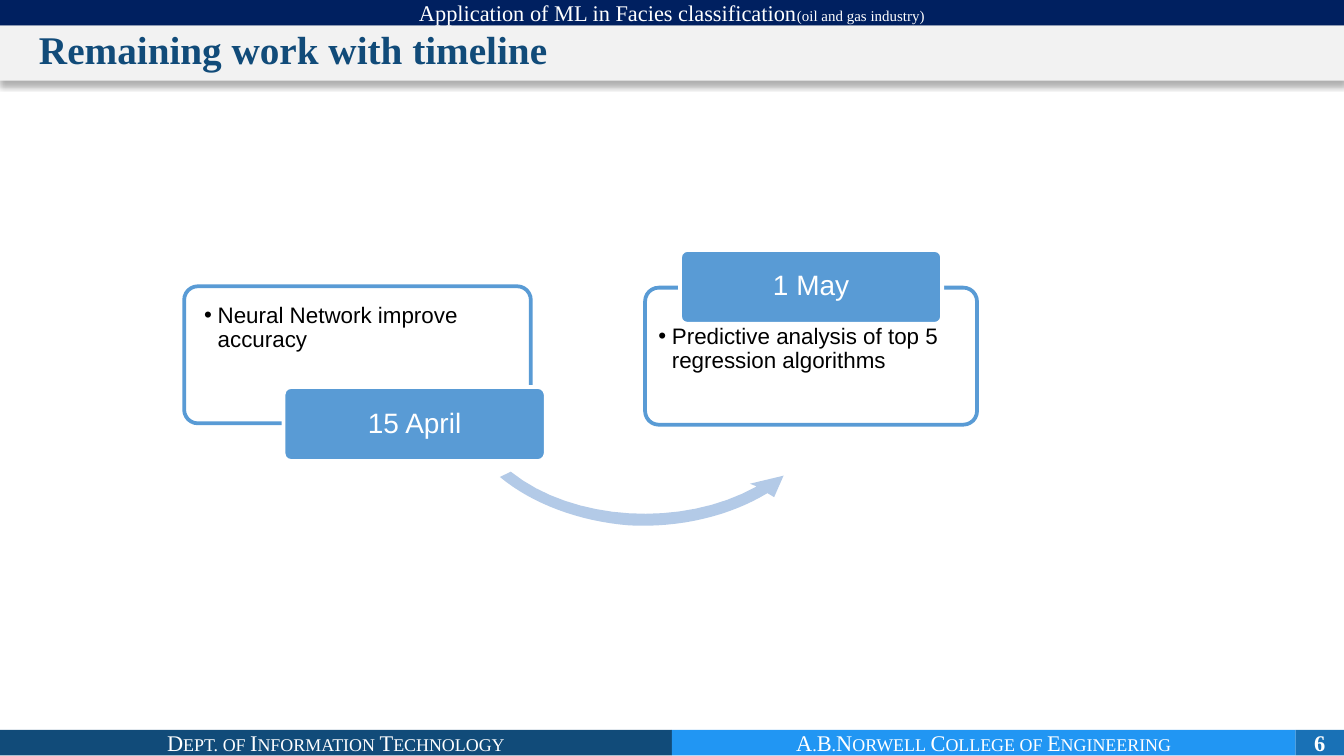
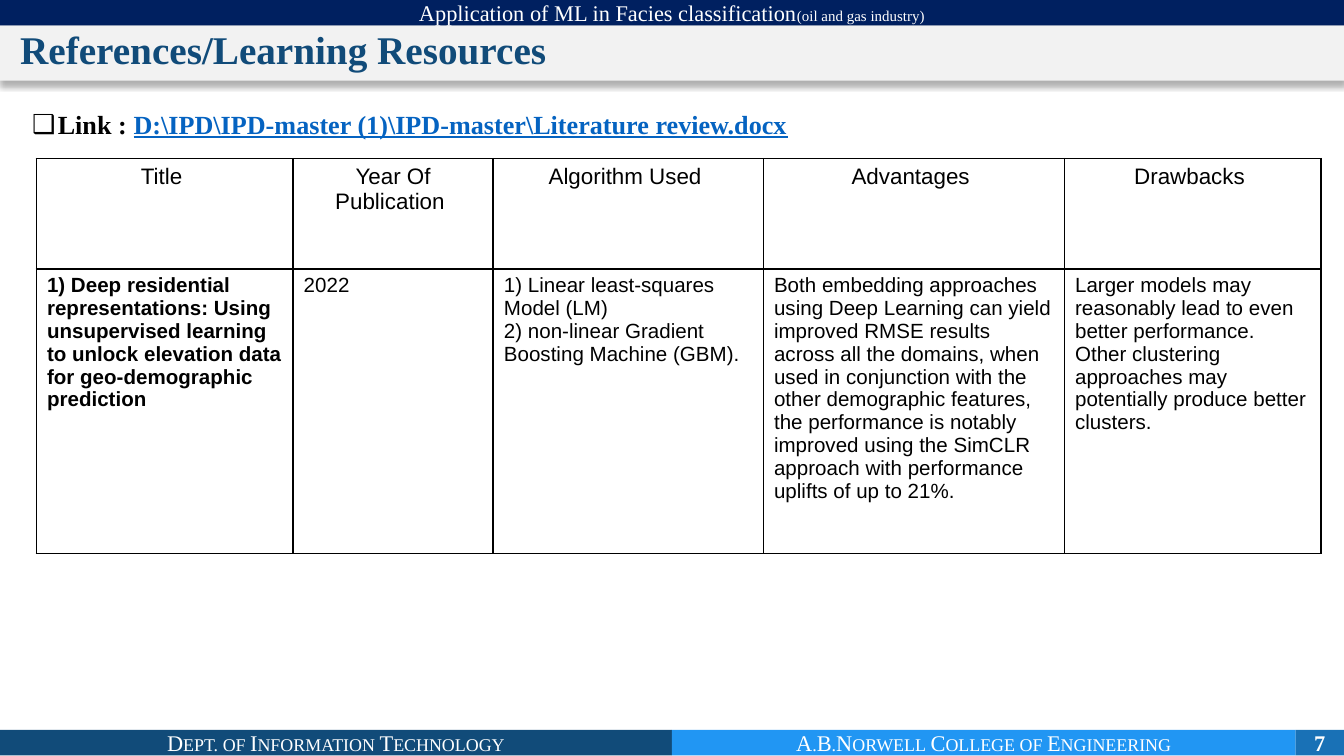
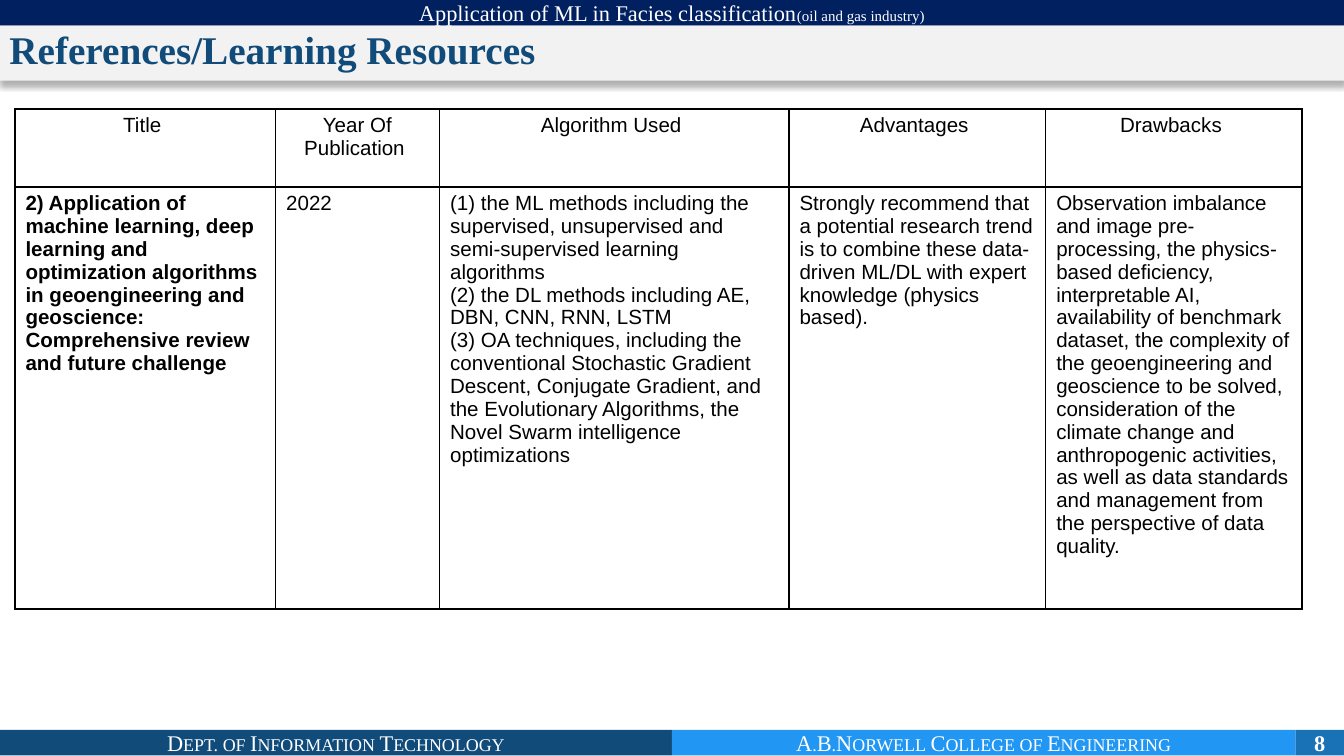
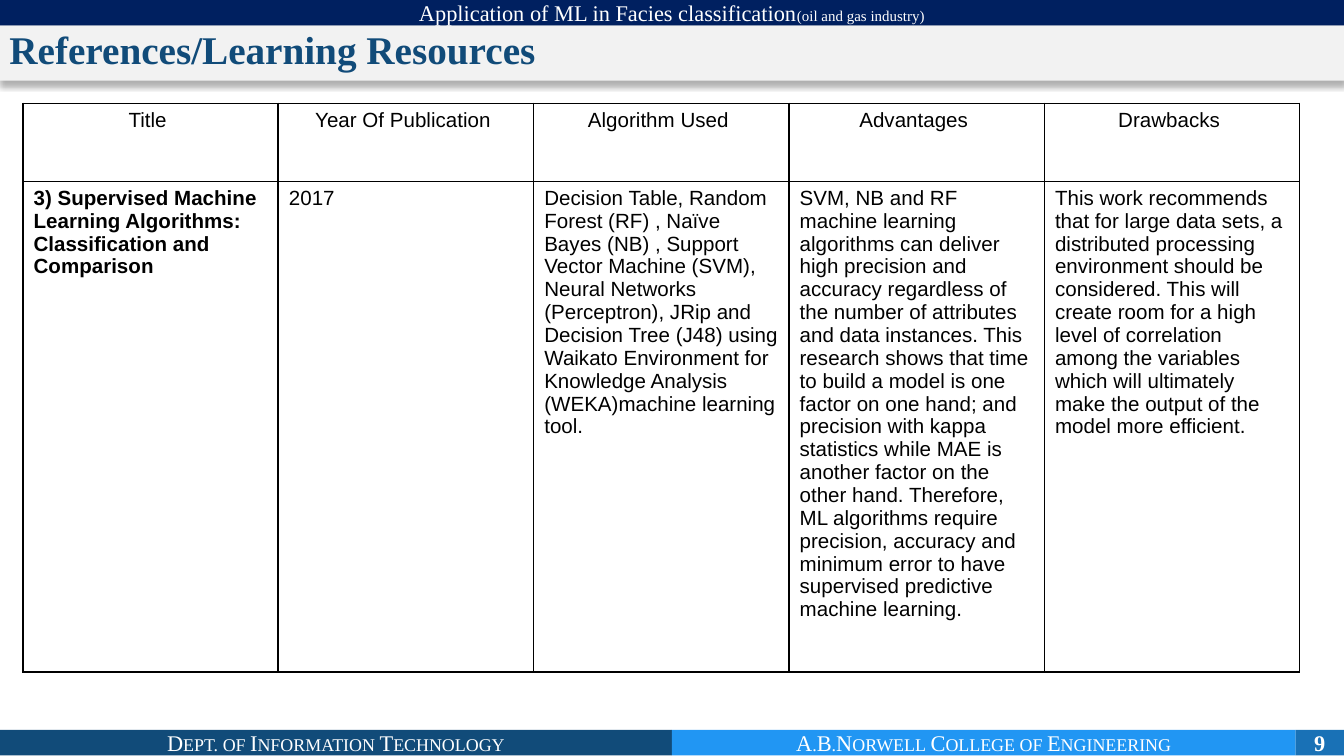
from dataclasses import dataclass
from typing import NamedTuple

from lxml.etree import SubElement
from pptx import Presentation
from pptx.dml.color import RGBColor
from pptx.enum.shapes import MSO_SHAPE as Preset
from pptx.enum.text import MSO_ANCHOR as Anchor, PP_ALIGN as Align
from pptx.oxml.ns import qn
from pptx.util import Inches, Pt

NAVY, DEEP_BLUE, BRIGHT_BLUE, MID_BLUE = "002060", "114B79", "2196F3", "1971B6"
CARD_BLUE, ARROW_BLUE, LINK_BLUE = "599BD5", "B3CAE7", "0563C1"
WHITE, BLACK, PALE_GREY = "FFFFFF", "000000", "F2F2F2"
SERIF, SANS = "Times New Roman", "Arial"
BAND_MARGINS = (0.07, 0.04, 0.07, 0.04)
CELL_MARGINS = (0.08, 0.04, 0.08, 0.04)
SIDES = ("left", "top", "right", "bottom")
HEADINGS = ["Title ", "Year Of Publication ", "Algorithm Used ", "Advantages ", "Drawbacks "]


class Box(NamedTuple):
    """Left, top, width and height in inches."""
    left: float
    top: float
    width: float
    height: float


class Style(NamedTuple):
    """Look of a run of text."""
    size: float
    color: str
    font: str = SERIF
    bold: bool = False
    underline: bool = False
    small_caps: bool = False


class Run(NamedTuple):
    """Words with their style."""
    words: str
    style: Style


@dataclass
class Band:
    """Coloured strip shared by all slides."""
    box: Box
    color: str
    runs: list[Run]


@dataclass
class Milestone:
    """Task card with its date tag."""
    task: str
    card: Box
    margins: tuple[float, ...]
    date: str
    tag: Box


@dataclass
class Reference:
    """Review table for one paper."""
    left: float
    top: float
    widths: list[float]
    heights: list[float]
    heading_size: float
    entry: list[str]


FOOTER = Style(12, WHITE, small_caps=True)
BANDS = [
    Band(Box(0, 5.43, 5, 0.19), DEEP_BLUE, [Run("Dept. of Information Technology", FOOTER)]),
    Band(Box(5, 5.43, 4.64, 0.19), BRIGHT_BLUE, [Run("A.B.Norwell College of Engineering", FOOTER)]),
    Band(Box(0, 0, 10, 0.19), NAVY, [
        Run("Application of ML in Facies classification", Style(12, WHITE)),
        Run("(oil and gas industry)", Style(8, WHITE))]),
]
MILESTONES = [
    Milestone("Neural Network improve accuracy", Box(1.37, 2.13, 2.58, 1.02),
              (0.12, 0.1, 0.38, 0), "15 April", Box(2.11, 2.88, 1.95, 0.55)),
    Milestone("Predictive analysis of top 5 regression algorithms", Box(4.8, 2.14, 2.47, 1.02),
              (0.07, 0.25, 0.07, 0), "1 May", Box(5.06, 1.86, 1.95, 0.55)),
]
REFERENCES = [
    Reference(0.27, 1.18, [1.91, 1.49, 2.01, 2.24, 1.91], [0.82, 2.12], 12, [
        "1) Deep residential representations: Using unsupervised learning to unlock elevation data "
        "for geo-demographic prediction",
        "2022",
        "1) Linear least-squares Model (LM)\n2) non-linear Gradient Boosting Machine (GBM).",
        "Both embedding approaches using Deep Learning can yield improved RMSE results across all the "
        "domains, when used in conjunction with the other demographic features, the performance is "
        "notably improved using the SimCLR approach with performance uplifts of up to 21%.",
        "Larger models may reasonably lead to even better performance.\n"
        "Other clustering approaches may potentially produce better clusters."]),
    Reference(0.11, 0.81, [1.94, 1.22, 2.6, 1.91, 1.91], [0.58, 3.14], 11, [
        "2) Application of machine learning, deep learning and optimization algorithms in "
        "geoengineering and geoscience: Comprehensive review and future challenge",
        "2022",
        "(1) the ML methods including the supervised, unsupervised and semi-supervised learning "
        "algorithms\n(2) the DL methods including AE, DBN, CNN, RNN, LSTM\n"
        "(3) OA techniques, including the conventional Stochastic Gradient Descent, Conjugate "
        "Gradient, and the Evolutionary Algorithms, the\nNovel Swarm intelligence optimizations",
        "Strongly recommend that a potential research trend is to combine these data-driven ML/DL "
        "with expert knowledge (physics based).",
        "Observation imbalance and image pre-processing, the physics-based deficiency, interpretable "
        "AI, availability of benchmark dataset, the complexity of the geoengineering and geoscience "
        "to be solved, consideration of the climate change and anthropogenic activities, as well as "
        "data standards and management from the perspective of data quality."]),
    Reference(0.17, 0.77, [1.9] * 5, [0.58, 3.65], 11, [
        "3) Supervised Machine Learning Algorithms: Classification and Comparison",
        "2017",
        "Decision Table, Random Forest (RF) , Naïve Bayes (NB) , Support Vector Machine (SVM), Neural "
        "Networks (Perceptron), JRip and Decision Tree (J48) using Waikato Environment for Knowledge "
        "Analysis (WEKA)machine learning tool.",
        "SVM, NB and RF machine learning algorithms can deliver high precision and accuracy regardless "
        "of the number of attributes and data instances. This research shows that time to build a "
        "model is one factor on one hand; and precision with kappa statistics while MAE is another "
        "factor on the other hand. Therefore, ML algorithms require precision, accuracy and minimum "
        "error to have supervised predictive machine learning.",
        "This work recommends that for large data sets, a distributed processing environment should be "
        "considered. This will create room for a high level of correlation among the variables which "
        "will ultimately make the output of the model more efficient."]),
]


def rgb(color: str) -> RGBColor:
    """Turn a hex string into a colour."""
    return RGBColor.from_string(color)


def apply(target, values: dict) -> None:
    """Set attributes from a dict of format values."""
    for attribute, value in values.items():
        setattr(target, attribute, value)


def margins(values: tuple[float, ...]) -> dict:
    """Name the four inner margins."""
    return {f"margin_{side}": Inches(value) for side, value in zip(SIDES, values)}


def write(paragraph, runs: list[Run], align=Align.LEFT, spacing: float = 1.0) -> None:
    """Fill a paragraph with styled runs."""
    apply(paragraph, {"alignment": align, "line_spacing": spacing})
    for words, style in runs:
        run = paragraph.add_run()
        run.text = words
        apply(run.font, {"size": Pt(style.size), "name": style.font,
                         "bold": style.bold, "underline": style.underline})
        run.font.color.rgb = rgb(style.color)
        if style.small_caps:
            run.font._element.set("cap", "small")


def indent(paragraph, left: float, first: float = 0):
    """Set the left indent and first line offset, and return the properties."""
    properties = paragraph._p.get_or_add_pPr()
    properties.set("marL", str(Inches(left)))
    properties.set("indent", str(Inches(first)))
    return properties


def bullet(paragraph, mark: str, left: float) -> None:
    """Give a paragraph a hanging black bullet."""
    properties = indent(paragraph, left, -left)
    SubElement(SubElement(properties, qn("a:buClr")), qn("a:srgbClr"), val=BLACK)
    SubElement(properties, qn("a:buFont"), typeface=SANS)
    SubElement(properties, qn("a:buChar"), char=mark)


def add_panel(slide, preset, box: Box, color: str, inner: tuple[float, ...],
              outline: str | None = None, anchor=Anchor.MIDDLE):
    """Draw a filled preset shape ready for text."""
    panel = slide.shapes.add_shape(preset, *map(Inches, box))
    panel.shadow.inherit = False
    panel.fill.solid()
    panel.fill.fore_color.rgb = rgb(color)
    if outline:
        panel.line.color.rgb = rgb(outline)
        panel.line.width = Pt(2)
    else:
        panel.line.fill.background()
    apply(panel.text_frame, {"word_wrap": True, "vertical_anchor": anchor, **margins(inner)})
    return panel


def add_band(slide, band: Band) -> None:
    """Draw one strip with centred words."""
    strip = add_panel(slide, Preset.RECTANGLE, band.box, band.color, BAND_MARGINS)
    write(strip.text_frame.paragraphs[0], band.runs, Align.CENTER)


def add_title(slide, title: str, offset: float) -> None:
    """Draw the title bar with its soft shadow."""
    bar = add_panel(slide, Preset.RECTANGLE, Box(0, 0.19, 10, 0.41), PALE_GREY,
                    BAND_MARGINS, anchor=Anchor.TOP)
    paragraph = bar.text_frame.paragraphs[0]
    write(paragraph, [Run(title, Style(21, DEEP_BLUE, bold=True))], spacing=0.9)
    indent(paragraph, offset)
    effects = bar._element.spPr.find(qn("a:effectLst"))
    shadow = SubElement(effects, qn("a:outerShdw"), blurRad=str(Pt(3.5)), dist=str(Pt(2.2)),
                        dir="5400000", algn="t", rotWithShape="0")
    SubElement(SubElement(shadow, qn("a:srgbClr"), val=BLACK), qn("a:alpha"), val="31000")


def add_frame(deck, number: int, title: str, offset: float = 0):
    """Start a slide with the shared bands and title."""
    slide = deck.slides.add_slide(deck.slide_layouts[6])
    page = Band(Box(9.64, 5.43, 0.36, 0.19), MID_BLUE, [Run(str(number), Style(12, WHITE, bold=True))])
    for band in [*BANDS, page]:
        add_band(slide, band)
    add_title(slide, title, offset)
    return slide


def add_milestone(slide, milestone: Milestone) -> None:
    """Draw a task card and the date tag over its edge."""
    card = add_panel(slide, Preset.ROUNDED_RECTANGLE, milestone.card, WHITE,
                     milestone.margins, CARD_BLUE, Anchor.TOP)
    tag = add_panel(slide, Preset.ROUNDED_RECTANGLE, milestone.tag, CARD_BLUE,
                    (0.04, 0.03, 0.04, 0.03), WHITE)
    for panel in (card, tag):
        panel.adjustments[0] = 0.1
    veil = card._element.spPr.find(qn("a:solidFill"))[0]
    SubElement(veil, qn("a:alpha"), val="90000")
    task = card.text_frame.paragraphs[0]
    write(task, [Run(milestone.task, Style(12, BLACK, SANS))], spacing=0.9)
    bullet(task, "•", 0.1)
    write(tag.text_frame.paragraphs[0], [Run(milestone.date, Style(15, WHITE, SANS))],
          Align.CENTER, 0.9)


def curve(*controls: tuple[float, float], steps: int = 16) -> list[tuple[float, float]]:
    """Sample a cubic curve through its four control points."""
    points = []
    for step in range(steps + 1):
        t = step / steps
        weights = ((1 - t) ** 3, 3 * t * (1 - t) ** 2, 3 * t * t * (1 - t), t ** 3)
        points.append(tuple(sum(w * c[axis] for w, c in zip(weights, controls)) for axis in (0, 1)))
    return points


def add_progress_arrow(slide) -> None:
    """Draw the curved arrow between the milestones."""
    outline = [
        *curve((3.8, 3.51), (4.26, 3.88), (5.08, 3.93), (5.63, 3.62)),
        (5.58, 3.6), (5.83, 3.54), (5.76, 3.7),
        *curve((5.71, 3.67), (5.43, 3.84), (5.06, 3.93), (4.68, 3.91)),
        *curve((4.68, 3.91), (4.31, 3.88), (3.96, 3.75), (3.72, 3.55)),
    ]
    start, *rest = [(Inches(x), Inches(y)) for x, y in outline]
    builder = slide.shapes.build_freeform(*start)
    builder.add_line_segments(rest, close=True)
    arrow = builder.convert_to_shape()
    arrow.shadow.inherit = False
    arrow.fill.solid()
    arrow.fill.fore_color.rgb = rgb(ARROW_BLUE)
    arrow.line.fill.background()


def add_link(slide) -> None:
    """Write the line that points to the review document."""
    frame = slide.shapes.add_textbox(*map(Inches, Box(0.17, 0.79, 9.66, 4.42))).text_frame
    apply(frame, {"word_wrap": True, **margins(BAND_MARGINS)})
    paragraph = frame.paragraphs[0]
    write(paragraph, [
        Run("Link : ", Style(14, BLACK, bold=True)),
        Run(r"D:\IPD\IPD-master (1)\IPD-master\Literature review.docx",
            Style(14, LINK_BLUE, bold=True, underline=True)),
    ], spacing=0.9)
    bullet(paragraph, "❑", 0.19)


def fill_cell(cell, text: str, style: Style, align) -> None:
    """Write a cell and rule its four sides."""
    apply(cell, margins(CELL_MARGINS))
    frame = cell.text_frame
    for index, line in enumerate(text.split("\n")):
        paragraph = frame.add_paragraph() if index else frame.paragraphs[0]
        write(paragraph, [Run(line, style)], align)
    properties = cell._tc.get_or_add_tcPr()
    for side in "LRTB":
        rule = SubElement(properties, qn(f"a:ln{side}"), w=str(Pt(1)))
        SubElement(SubElement(rule, qn("a:solidFill")), qn("a:srgbClr"), val=BLACK)
    cell.fill.background()


def add_reference(slide, reference: Reference) -> None:
    """Draw the review table of one paper."""
    box = Box(reference.left, reference.top, sum(reference.widths), sum(reference.heights))
    table = slide.shapes.add_table(2, len(HEADINGS), *map(Inches, box)).table
    apply(table, {"first_row": False, "horz_banding": False})
    for column, width in zip(table.columns, reference.widths):
        column.width = Inches(width)
    for row, height in zip(table.rows, reference.heights):
        row.height = Inches(height)
    for index, (heading, detail) in enumerate(zip(HEADINGS, reference.entry)):
        fill_cell(table.cell(0, index), heading,
                  Style(reference.heading_size, BLACK, SANS), Align.CENTER)
        fill_cell(table.cell(1, index), detail,
                  Style(11, BLACK, SANS, bold=index == 0), Align.LEFT)


def main() -> None:
    """Build the four slides at a 16:9 ratio."""
    deck = Presentation()
    apply(deck, {"slide_width": Inches(10), "slide_height": Inches(10 * 9 / 16)})
    timeline = add_frame(deck, 6, "Remaining work with timeline", 0.22)
    add_progress_arrow(timeline)
    for milestone in MILESTONES:
        add_milestone(timeline, milestone)
    for number, reference in enumerate(REFERENCES, 7):
        first = number == 7
        slide = add_frame(deck, number, "References/Learning Resources", 0.08 if first else 0)
        if first:
            add_link(slide)
        add_reference(slide, reference)
    deck.save("out.pptx")


if __name__ == "__main__":
    main()
